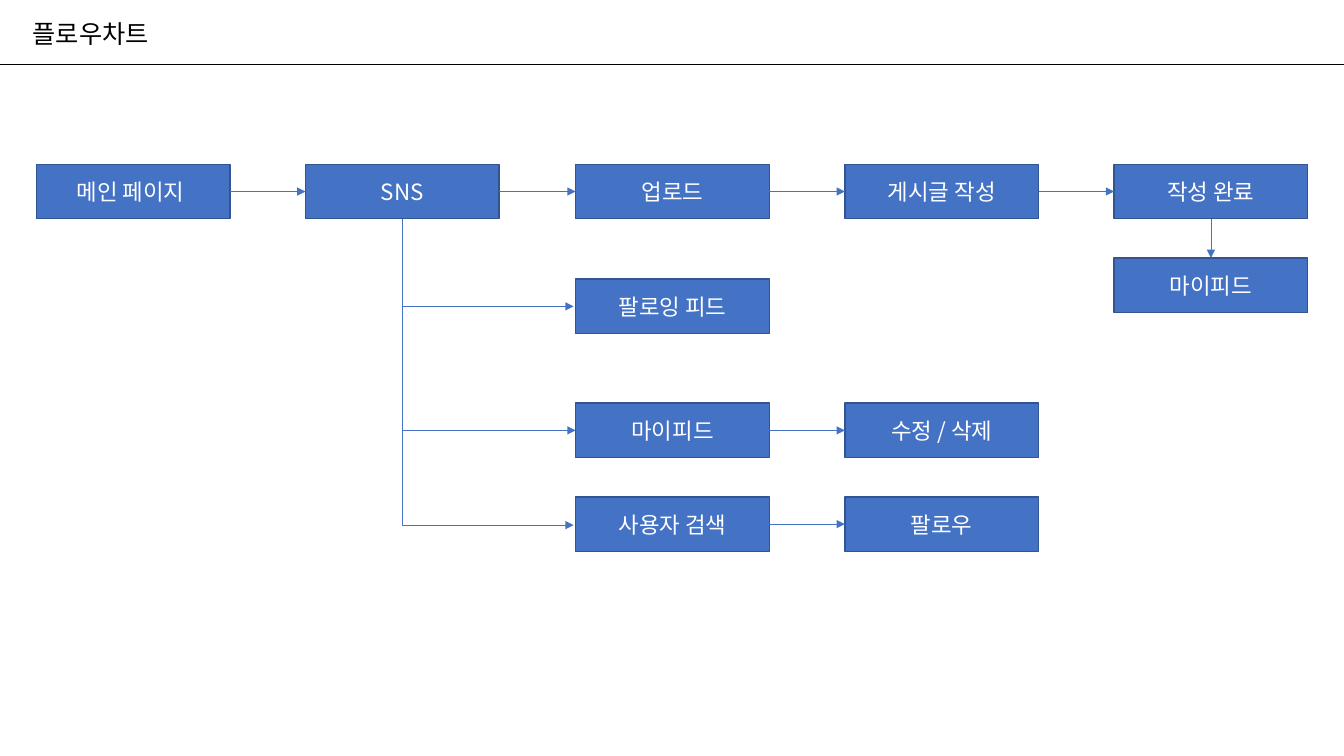
from lxml.etree import SubElement
from pptx import Presentation
from pptx.dml.color import RGBColor
from pptx.enum.shapes import MSO_CONNECTOR as CONNECTOR, MSO_SHAPE as SHAPE
from pptx.enum.text import MSO_ANCHOR as ANCHOR, MSO_AUTO_SIZE as AUTO_SIZE, PP_ALIGN as ALIGN
from pptx.oxml.ns import qn
from pptx.util import Pt

PX = 9144
COLORS = {"box": "4472C4", "border": "325491", "white": "FFFFFF", "black": "000000"}
FONT = "Noto Sans CJK KR"
COLUMN_X = (36, 303, 571, 838, 1105)
BOX_WIDTH, BOX_HEIGHT = 192, 54
TOP, LEFT, BOTTOM, RIGHT = range(4)

BOXES = {
    "main": ("메인 페이지 ", 0, 163),
    "sns": ("SNS", 1, 163),
    "upload": ("업로드", 2, 163),
    "write": ("게시글 작성", 3, 163),
    "done": ("작성 완료", 4, 163),
    "done_feed": ("마이피드", 4, 256),
    "following": ("팔로잉 피드", 2, 277),
    "my_feed": ("마이피드", 2, 400),
    "edit": ("수정 / 삭제", 3, 400),
    "search": ("사용자 검색", 2, 493),
    "follow": ("팔로우", 3, 493),
}
LINKS = (
    ("main", "sns"),
    ("sns", "upload"),
    ("upload", "write"),
    ("write", "done"),
    ("my_feed", "edit"),
    ("search", "follow"),
)


def rgb(name):
    return RGBColor.from_string(COLORS[name])


def set_text(frame, text, size=16, color="white", anchor=ANCHOR.MIDDLE):
    frame.word_wrap = True
    frame.auto_size = AUTO_SIZE.NONE
    frame.vertical_anchor = anchor
    paragraph = frame.paragraphs[0]
    paragraph.alignment = ALIGN.CENTER
    paragraph.line_spacing = 1.0
    run = paragraph.add_run()
    run.text = text
    run.font.size = Pt(size)
    run.font.color.rgb = rgb(color)
    run.font.name = FONT
    SubElement(run.font._element, qn("a:ea"), typeface=FONT)


class FlowSlide:
    def __init__(self, presentation):
        self.slide = presentation.slides.add_slide(presentation.slide_layouts[5])
        self.shapes = self.slide.shapes

    def title(self, text, x, y, width, height):
        title = self.shapes.title
        title.left, title.top = x * PX, y * PX
        title.width, title.height = width * PX, height * PX
        set_text(title.text_frame, text, size=18, color="black", anchor=ANCHOR.TOP)

    def box(self, text, column, y):
        shape = self.shapes.add_shape(
            SHAPE.RECTANGLE, COLUMN_X[column] * PX, y * PX, BOX_WIDTH * PX, BOX_HEIGHT * PX
        )
        shape.shadow.inherit = False
        shape.fill.solid()
        shape.fill.fore_color.rgb = rgb("box")
        shape.line.color.rgb = rgb("border")
        shape.line.width = Pt(1)
        set_text(shape.text_frame, text)
        return shape

    def line(self, x1, y1, x2, y2, color="box", arrow=True, kind=CONNECTOR.STRAIGHT):
        connector = self.shapes.add_connector(
            kind, int(x1 * PX), int(y1 * PX), int(x2 * PX), int(y2 * PX)
        )
        connector.line.color.rgb = rgb(color)
        connector.line.width = Pt(0.5)
        properties = connector.element.spPr
        if arrow:
            SubElement(properties.find(qn("a:ln")), qn("a:tailEnd"), type="triangle")
        SubElement(properties, qn("a:effectLst"))
        return connector

    def link(self, start, end, start_site=RIGHT, end_site=LEFT):
        connector = self.line(0, 0, 0, 0)
        connector.begin_connect(start, start_site)
        connector.end_connect(end, end_site)

    def down_then_right(self, x1, y1, x2, y2):
        center_x, center_y = (x1 + x2) / 2, (y1 + y2) / 2
        half_width, half_height = (y2 - y1) / 2, (x2 - x1) / 2
        connector = self.line(
            center_x + half_width, center_y - half_height,
            center_x - half_width, center_y + half_height,
            kind=CONNECTOR.ELBOW,
        )
        properties = connector.element.spPr
        properties.find(qn("a:xfrm")).set("rot", "16200000")
        properties.find(qn("a:prstGeom")).set("prst", "bentConnector2")


def main():
    presentation = Presentation()
    presentation.slide_width = 1333 * PX
    presentation.slide_height = 750 * PX
    flow = FlowSlide(presentation)
    flow.title("플로우차트", -11, 13, 202, 40)
    flow.line(0, 64, 1333, 64, color="black", arrow=False)
    flow.down_then_right(399, 237, 569, 521)
    flow.down_then_right(399, 217, 569, 304)
    flow.line(399, 427, 571, 427)
    boxes = {name: flow.box(*box) for name, box in BOXES.items()}
    for start, end in LINKS:
        flow.link(boxes[start], boxes[end])
    flow.link(boxes["done"], boxes["done_feed"], BOTTOM, TOP)
    presentation.save("out.pptx")


if __name__ == "__main__":
    main()
